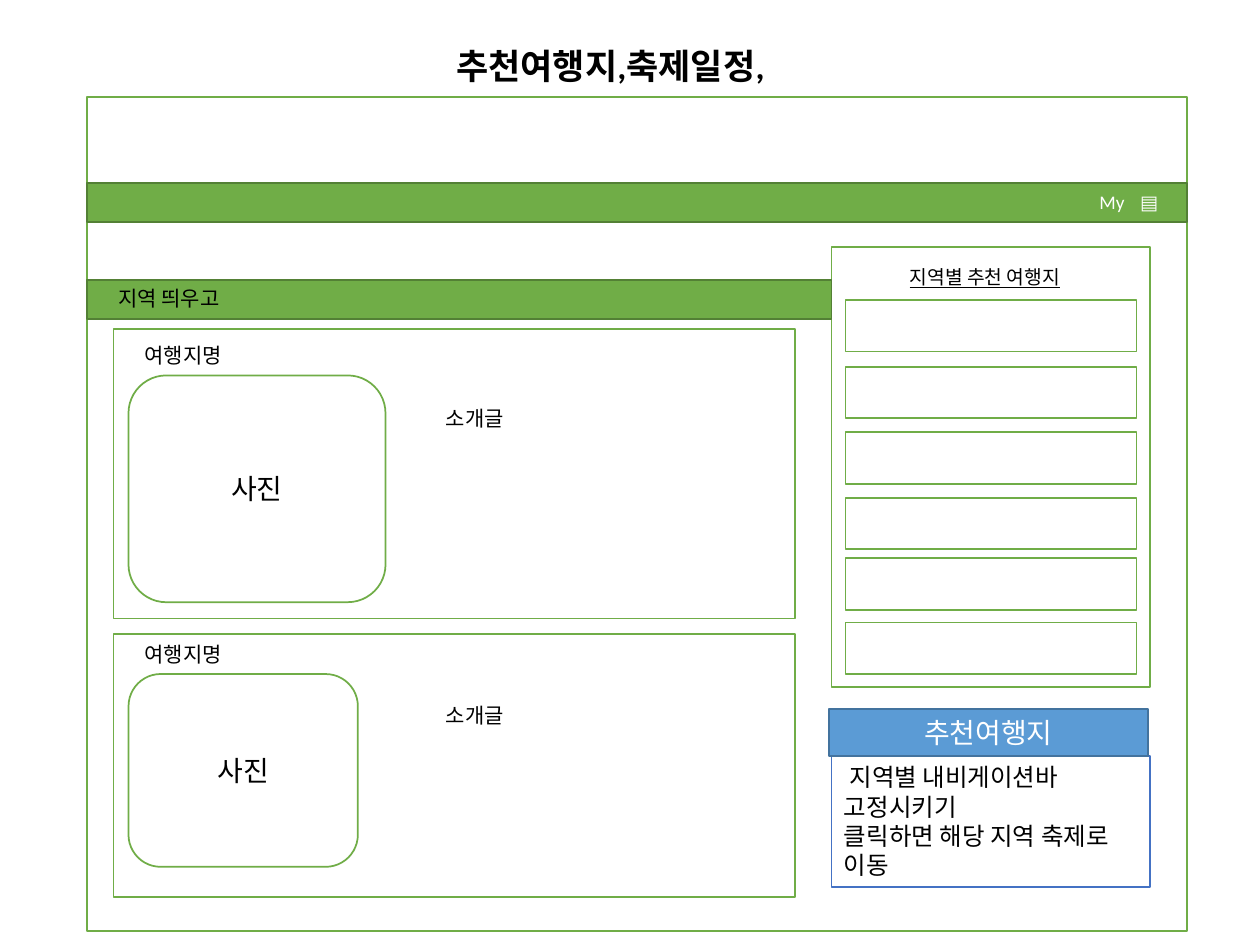
from pptx import Presentation
from pptx import util as u
from pptx.dml import color
from pptx.enum import shapes, text

COLUMNS, ROWS = 100, 75
CELL = u.Inches(0.1)
GREEN, DARK_GREEN, WHITE, BLACK = "70AD47", "538035", "FFFFFF", "000000"
RECT, ROUND = shapes.MSO_SHAPE.RECTANGLE, shapes.MSO_SHAPE.ROUNDED_RECTANGLE
CENTER, LEFT = text.PP_ALIGN.CENTER, text.PP_ALIGN.LEFT
MIDDLE, TOP = text.MSO_ANCHOR.MIDDLE, text.MSO_ANCHOR.TOP
GROW = text.MSO_AUTO_SIZE.SHAPE_TO_FIT_TEXT


def rgb(value):
    """Turn a hex string into a colour."""
    return color.RGBColor.from_string(value)


def place(box, left, top, width, height):
    """Return a box of grid cells offset from the corner of another box."""
    return box[0] + left, box[1] + top, width, height


def emu(box):
    """Convert a box from grid cells to slide lengths."""
    return [round(value * CELL) for value in box]


def write(shape, lines, size, ink=BLACK, align=LEFT, frame=None, **styles):
    """Fill a shape with formatted paragraphs."""
    body = shape.text_frame
    settings = {"word_wrap": True, "vertical_anchor": TOP, **(frame or {})}
    for name, value in settings.items():
        setattr(body, name, value)
    for index, line in enumerate(lines):
        para = body.paragraphs[0] if index == 0 else body.add_paragraph()
        para.alignment = align
        span = para.add_run()
        span.text = line
        fonts = {"name": "Calibri", "size": u.Pt(size), **styles}
        for name, value in fonts.items():
            setattr(span.font, name, value)
        span.font.color.rgb = rgb(ink)


def panel(parent, box, fill=WHITE, line=GREEN, kind=RECT):
    """Draw an outlined shape, with no fill when fill is None."""
    shape = parent.shapes.add_shape(kind, *emu(box))
    shape.shadow.inherit = False
    if fill:
        shape.fill.solid()
        shape.fill.fore_color.rgb = rgb(fill)
    else:
        shape.fill.background()
    shape.line.color.rgb = rgb(line)
    shape.line.width = u.Pt(1)
    return shape


def label(parent, box, words, size=12, wrap=False, **styles):
    """Add a text box that grows with its words."""
    shape = parent.shapes.add_textbox(*emu(box))
    write(shape, [words], size, frame={"word_wrap": wrap, "auto_size": GROW}, **styles)


def heading(page, box):
    """Move the title placeholder and write the page heading."""
    title = page.shapes.title
    for name, value in zip(("left", "top", "width", "height"), emu(box)):
        setattr(title, name, value)
    write(title, ["추천여행지,축제일정,"], 20, frame={"auto_size": GROW}, bold=True)


def menu_bar(page, box):
    """Draw the site menu with its account entries."""
    panel(page, box, GREEN, DARK_GREEN)
    for words, left, width in (("My", 79, 4.7), ("▤", 82.6, 3.2)):
        entry = panel(page, place(box, left, 0.2, width, 2.6), None)
        write(entry, [words], 11, WHITE, CENTER, {"vertical_anchor": MIDDLE})


def region_bar(page, box):
    """Draw the band that shows the selected region."""
    panel(page, box, GREEN, DARK_GREEN)
    label(page, place(box, 1.5, 0, 10.8, 3), "지역 띄우고")


def destination(page, box, photo, name, intro, wrap):
    """Draw a destination card with photo, name and introduction."""
    panel(page, box)
    frame = panel(page, place(box, *photo), kind=ROUND)
    write(frame, ["사진"], 16, align=CENTER, frame={"vertical_anchor": MIDDLE})
    label(page, place(box, *name), "여행지명", wrap=wrap)
    label(page, place(box, *intro), "소개글", wrap=wrap)


def sidebar(page, box):
    """Draw the grouped list of destinations by region."""
    group = page.shapes.add_group_shape()
    panel(group, box)
    label(group, place(box, 5.2, 1, 15.1, 2.9), "지역별 추천 여행지", 11, underline=True)
    for top in (4.2, 9.5, 14.7, 19.9, 24.7, 29.8):
        panel(group, place(box, 1.1, top, 23.1, 4.1))


def remark(page, box):
    """Draw the note about the sidebar under its header."""
    lines = [" 지역별 내비게이션바 고정시키기", "클릭하면 해당 지역 축제로 이동"]
    note = panel(page, place(box, 0.2, 3.7, 25.3, 10.4), line="4472C4")
    write(note, lines, 14, frame={"auto_size": GROW})
    header = panel(page, place(box, 0, 0, 25.3, 3.7), "5B9BD5", "43739E")
    write(header, ["추천여행지"], 16, WHITE, CENTER, {"vertical_anchor": MIDDLE})


def main():
    """Build the wireframe slide and save it."""
    deck = Presentation()
    deck.slide_width, deck.slide_height = COLUMNS * CELL, ROWS * CELL
    page = deck.slides.add_slide(deck.slide_layouts[5])
    heading(page, (35.2, 3, 30.8, 4.4))
    panel(page, (6.9, 7.7, 87.3, 66.2))
    menu_bar(page, (6.9, 14.5, 87.3, 3.1))
    destination(page, (9, 26.1, 54.1, 23), (1.2, 3.7, 20.4, 18),
                (1.5, 0.6, 8.8, 3), (25.4, 5.6, 7.1, 3), False)
    sidebar(page, (66, 19.6, 25.3, 34.9))
    region_bar(page, (6.9, 22.2, 59.1, 3.1))
    destination(page, (9, 50.3, 54.1, 20.9), (1.2, 3.2, 18.2, 15.3),
                (1.5, 0.1, 13.6, 3), (25.4, 5, 10.6, 3), True)
    remark(page, (65.8, 56.3, 25.3, 14.1))
    deck.save("out.pptx")


if __name__ == "__main__":
    main()
